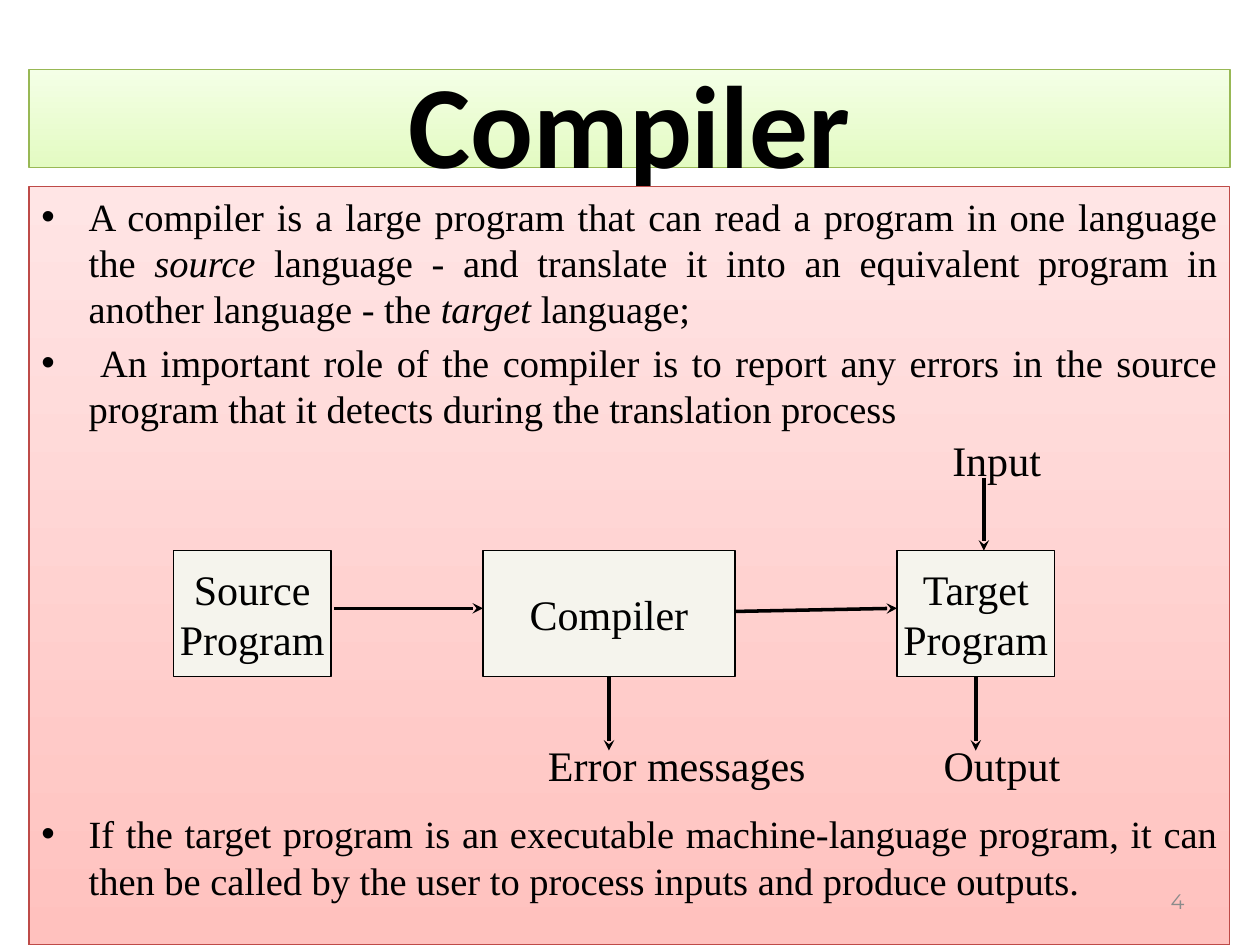
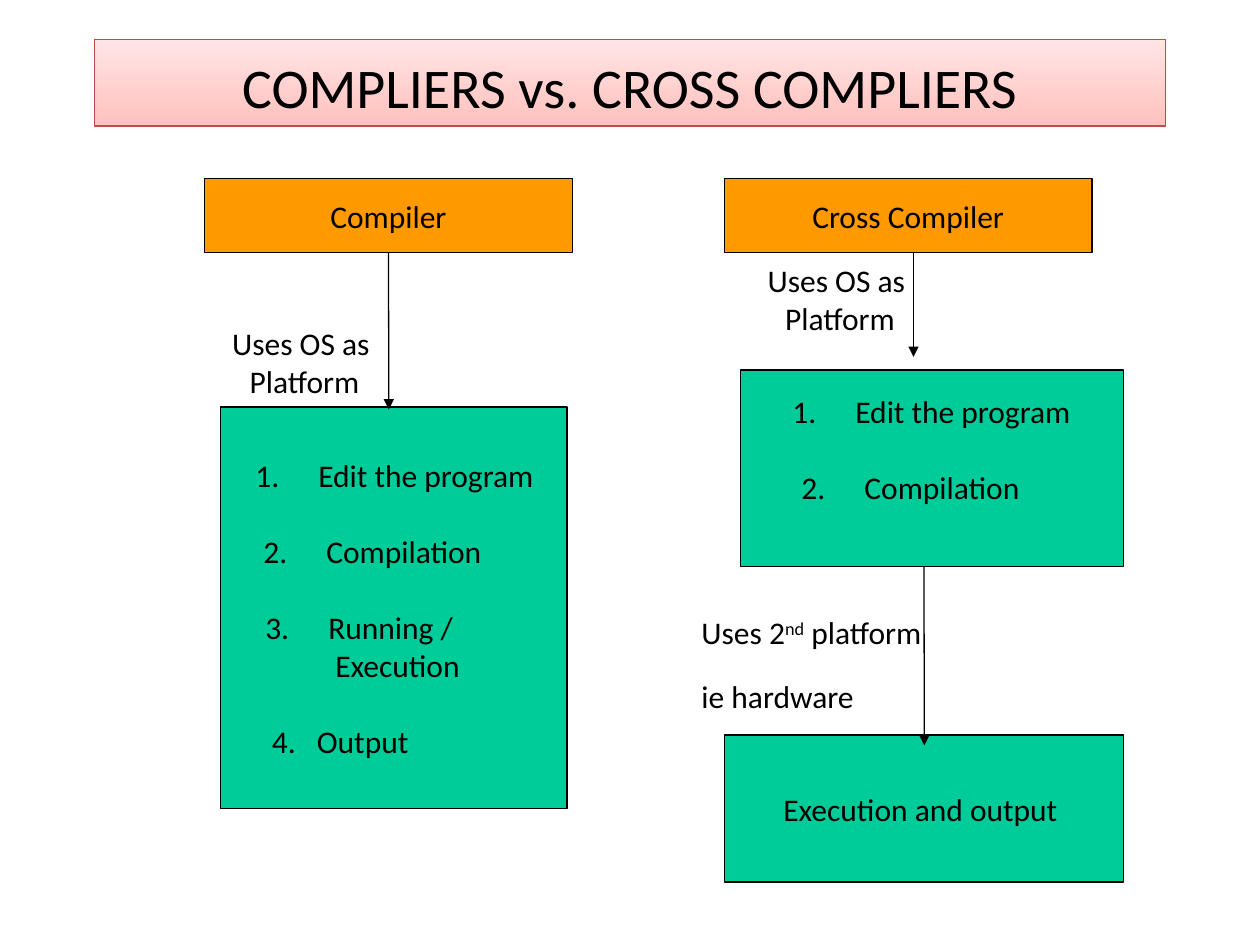
from dataclasses import dataclass

from lxml import etree
from pptx import Presentation
from pptx.dml.color import RGBColor
from pptx.enum import shapes, text
from pptx.oxml.ns import qn
from pptx.util import Pt


@dataclass(frozen=True)
class Theme:
    black: str = "000000"
    grey: str = "8B8B8B"
    box: str = "F5F4ED"
    orange: str = "FF9900"
    teal: str = "00CC99"
    # Gradient bands: bottom colour, top colour
    green_band: tuple = ("E3FBC2", "F4FFE6")
    green_edge: str = "98B855"
    red_band: tuple = ("FFC1BE", "FFE5E5")
    red_edge: str = "BE4B48"
    sans: str = "Calibri"
    serif: str = "Times New Roman"
    number_font: str = "Montserrat"
    big_title: float = 67
    title: float = 32
    diagram: float = 24
    body: float = 22
    flow: float = 18
    number: float = 12
    hairline: float = 0.75
    arrow: float = 2


theme = Theme()
LEFT, CENTER = text.PP_ALIGN.LEFT, text.PP_ALIGN.CENTER
TOP, MIDDLE = text.MSO_ANCHOR.TOP, text.MSO_ANCHOR.MIDDLE
RECTANGLE = shapes.MSO_SHAPE.RECTANGLE


def dress(shape, paragraphs, size, font, fill=None, edge=None, color=theme.black,
          align=CENTER, anchor=MIDDLE, wrap=False, bold=False):
    """Give a shape its fill, outline and text; a paragraph is a list of (text, font values)."""
    if isinstance(fill, tuple):
        shape.fill.gradient()
        shape.fill.gradient_angle = 90
        for stop, stop_color in zip(shape.fill.gradient_stops, fill):
            stop.color.rgb = RGBColor.from_string(stop_color)
    elif fill:
        shape.fill.solid()
        shape.fill.fore_color.rgb = RGBColor.from_string(fill)
    if edge:
        shape.shadow.inherit = False
        shape.line.color.rgb = RGBColor.from_string(edge)
        shape.line.width = Pt(theme.hairline)
    frame = shape.text_frame
    frame_format = {"word_wrap": wrap, "vertical_anchor": anchor,
                    "auto_size": text.MSO_AUTO_SIZE.NONE}
    for name, value in frame_format.items():
        setattr(frame, name, value)
    for index, runs in enumerate(paragraphs):
        paragraph = frame.add_paragraph() if index else frame.paragraphs[0]
        paragraph.alignment = align
        for words, extra in [(runs, {})] if isinstance(runs, str) else runs:
            run = paragraph.add_run()
            run.text = words
            font_format = {"name": font, "size": Pt(size), "bold": bold, **extra}
            for name, value in font_format.items():
                setattr(run.font, name, value)
            run.font.color.rgb = RGBColor.from_string(color)
    return frame


def add_arrow(slide, start, end, width, head, source=None):
    """Draw an arrow; a source shape is joined at the middle of its bottom side."""
    arrow = slide.shapes.add_connector(
        shapes.MSO_CONNECTOR.STRAIGHT, *map(Pt, start + end))
    if source is not None:
        arrow.begin_connect(source, 2)
    arrow.line.color.rgb = RGBColor.from_string(theme.black)
    arrow.line.width = Pt(width)
    etree.SubElement(arrow.line._get_or_add_ln(), qn("a:tailEnd"), type=head)
    etree.SubElement(arrow._element.spPr, qn("a:effectLst"))


presentation = Presentation()
presentation.slide_width, presentation.slide_height = Pt(720), Pt(540)

# Slides and their title bands
titles = [
    ("Compiler", (16.6, 39.6, 686.2, 56.2), theme.big_title, True,
     theme.green_band, theme.green_edge),
    ("COMPLIERS vs. CROSS COMPLIERS", (54, 22.5, 612, 49.5), theme.title, False,
     theme.red_band, theme.red_edge),
]
slides = []
for words, place, size, bold, band, edge in titles:
    slide = presentation.slides.add_slide(presentation.slide_layouts[5])
    title = slide.shapes.title
    title.left, title.top, title.width, title.height = map(Pt, place)
    frame = dress(title, [words], size, theme.sans, band, edge, wrap=True, bold=bold)
    frame.margin_bottom = 0
    slides.append(slide)
compiler_slide, cross_slide = slides

# Compiler: bulleted panel, with a gap for the diagram before the last bullet
italic = {"italic": True}
bullets = [
    [("A compiler is a large program that can read a program in one language the ", {}),
     ("source ", italic),
     ("language - and translate it into an equivalent program in another language - the ", {}),
     ("target ", italic), ("language; ", {})],
    " An important role of the compiler is to report any errors in the source program "
    "that it detects during the translation process",
    "If the target program is an executable machine-language program, it can then be "
    "called by the user to process inputs and produce outputs.",
]
panel = compiler_slide.shapes.add_shape(RECTANGLE, *map(Pt, (16.6, 106.7, 686.2, 433.3)))
frame = dress(panel, bullets, theme.body, theme.serif, theme.red_band, theme.red_edge,
              align=text.PP_ALIGN.JUSTIFY, anchor=TOP, wrap=True)
for paragraph, gap in zip(frame.paragraphs, (4.4, 4.4, 216.5)):
    paragraph.space_before = Pt(gap)
    properties = paragraph._p.get_or_add_pPr()
    properties.set("marL", str(Pt(27)))
    properties.set("indent", str(Pt(-27)))
    etree.SubElement(properties, qn("a:buFont"), typeface="Arial")
    etree.SubElement(properties, qn("a:buChar"), char="•")

number = compiler_slide.shapes.add_textbox(*map(Pt, (516, 500.5, 168, 28.8)))
dress(number, ["4"], theme.number, theme.number_font, color=theme.grey,
      align=text.PP_ALIGN.RIGHT, wrap=True)

# Compiler: diagram
box_top, box_height = 314.7, 72
stages = {}
for left, width, lines in [(99.1, 90, ["Source", "Program"]),
                           (276, 144, ["Compiler"]),
                           (512.6, 90, ["Target", "Program"])]:
    stage = compiler_slide.shapes.add_shape(
        RECTANGLE, *map(Pt, (left, box_top, width, box_height)))
    dress(stage, lines, theme.diagram, theme.serif, theme.box, theme.black)
    stages[lines[0]] = stage

for words, left, top, width in [("Error messages", 306, 419, 162),
                                ("Output", 532.1, 419, 80.6),
                                ("Input", 537.1, 244.8, 64.8)]:
    label = compiler_slide.shapes.add_textbox(*map(Pt, (left, top, width, 36)))
    dress(label, [words], theme.diagram, theme.serif, align=LEFT, anchor=TOP)

for start, end, source in [
    ((190.8, 347.6), (276, 347.6), None),
    ((420, 349.4), (512.6, 347.6), None),
    ((562.2, 272.9), (562.2, box_top), None),
    ((557.6, 386.7), (557.6, 428.9), stages["Target"]),
    ((348, 386.7), (348, 428.9), stages["Compiler"]),
]:
    add_arrow(compiler_slide, start, end, theme.arrow, "stealth", source)

# Cross compilers: boxes
boxes = {}
for words, place, fill in [
    ("Compiler", (117, 102.2, 210, 42), theme.orange),
    ("Cross Compiler", (414, 102.2, 210, 42), theme.orange),
    ("Execution and output ", (414, 420, 228, 84), theme.teal),
]:
    boxes[words] = cross_slide.shapes.add_shape(RECTANGLE, *map(Pt, place))
    dress(boxes[words], [words], theme.flow, theme.sans, fill, theme.black)

# Cross compilers: step lists as (words, number, left indent, hanging indent)
line_gap = 22
step_lists = [
    ((126, 232.6, 198, 229.4), 3.6, [
        ("Edit the program", 1, 48.8, 36), ("Compilation", 2, 53.4, 36),
        ("Running /", 3, 54.5, 36), ("Execution", None, 58.5, 0),
        ("Output", 4, 48, 25.7)]),
    ((423.2, 211.5, 219, 112.3), 3.6 + line_gap, [
        ("Edit the program", 1, 58.5, 36), ("Compilation", 2, 63.7, 36)]),
]
for place, bottom_margin, steps in step_lists:
    step_box = cross_slide.shapes.add_shape(RECTANGLE, *map(Pt, place))
    frame = dress(step_box, [step[0] for step in steps], theme.flow, theme.sans,
                  theme.teal, theme.black, align=LEFT, wrap=True)
    frame.margin_bottom = Pt(bottom_margin)
    for paragraph, (words, count, indent, hanging) in zip(frame.paragraphs, steps):
        properties = paragraph._p.get_or_add_pPr()
        properties.set("marL", str(Pt(indent)))
        properties.set("indent", str(Pt(-hanging)))
        if count:
            paragraph.space_before = Pt(line_gap if count > 1 else 0)
            etree.SubElement(properties, qn("a:buAutoNum"),
                             type="arabicPeriod", startAt=str(count))

# Cross compilers: labels and arrows
for left, top in [(102, 174), (408, 138)]:
    label = cross_slide.shapes.add_textbox(*map(Pt, (left, top, 144, 66)))
    dress(label, ["Uses OS as ", "Platform"], theme.flow, theme.sans)

label = cross_slide.shapes.add_textbox(*map(Pt, (393.8, 347, 235.4, 65.5)))
frame = dress(label, [[("Uses 2", {}), ("nd", {}), (" platform", {})], "ie hardware"],
              theme.flow, theme.sans, align=LEFT, anchor=TOP, wrap=True)
frame.paragraphs[0].runs[1].font._element.set("baseline", "30000")
for paragraph in frame.paragraphs:
    paragraph.space_before = Pt(15)

for start, end, source in [
    ((222, 144.2), (222.2, 234), boxes["Compiler"]),
    ((522, 144.2), (522, 204), None),
    ((528, 323.8), (528.2, 426), None),
]:
    add_arrow(cross_slide, start, end, theme.hairline, "triangle", source)

presentation.save("out.pptx")
